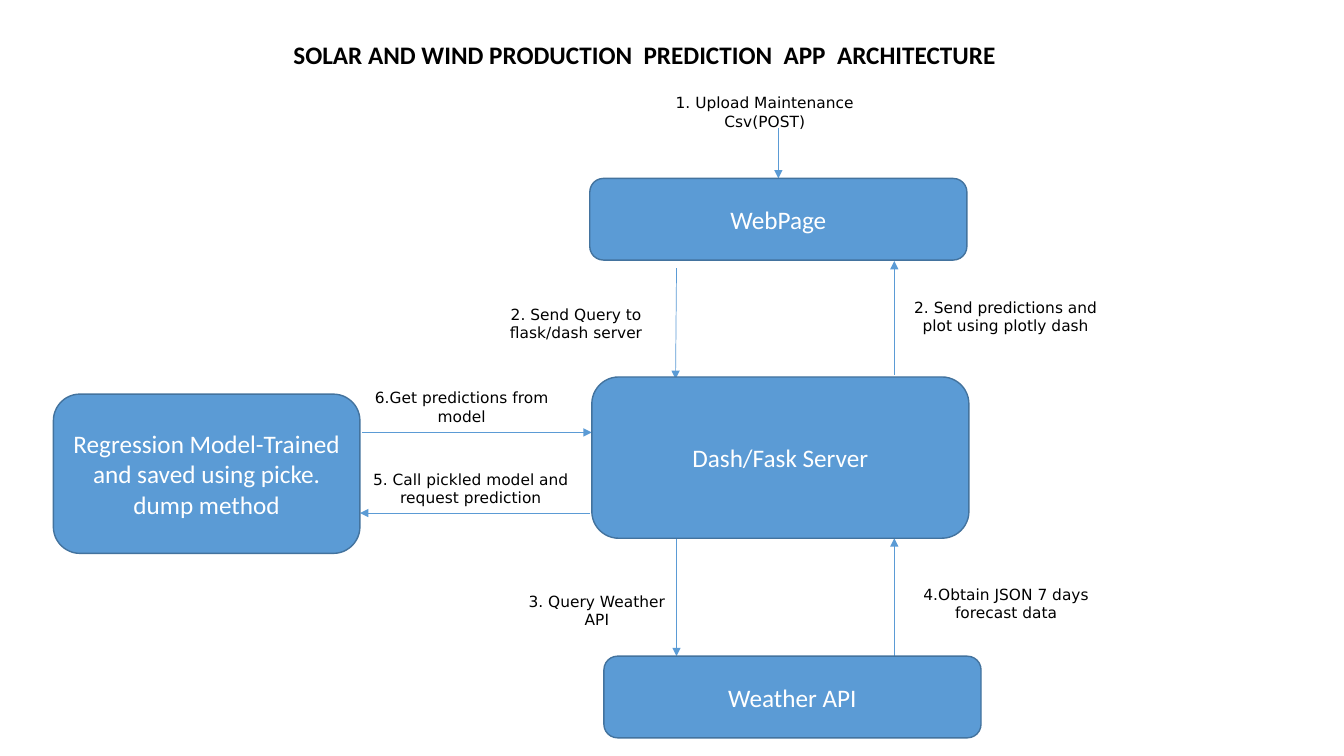
"""Draw the architecture of the solar and wind production prediction app."""
from dataclasses import dataclass
from typing import NamedTuple

from lxml import etree
from pptx import Presentation
from pptx import util as u
from pptx.dml.color import RGBColor
from pptx.enum import shapes, text
from pptx.oxml.ns import qn

WIDTH, HEIGHT = u.Inches(13.33), u.Inches(7.5)
COLUMNS, ROWS = 133.3, 75


@dataclass(frozen=True)
class Theme:
    """Colours, typefaces and sizes of the diagram."""
    fill: RGBColor = RGBColor(0x5B, 0x9B, 0xD5)
    border: RGBColor = RGBColor(0x43, 0x73, 0x9E)
    light: RGBColor = RGBColor(0xFF, 0xFF, 0xFF)
    dark: RGBColor = RGBColor(0, 0, 0)
    heading_font: str = "Calibri"
    label_font: str = "DejaVu Sans"
    heading_size: u.Pt = u.Pt(18)
    label_size: u.Pt = u.Pt(11)
    border_width: u.Pt = u.Pt(1)
    arrow_width: u.Pt = u.Pt(0.5)


class Area(NamedTuple):
    """A rectangle in grid columns and rows."""
    col: float
    row: float
    cols: float
    rows: float


class Caption(NamedTuple):
    """Wording and the area that holds it."""
    wording: str
    area: Area


class Flow(NamedTuple):
    """An arrow between two grid points."""
    from_col: float
    from_row: float
    to_col: float
    to_row: float


THEME = Theme()
QUERY_COL, RESULT_COL, UPLOAD_COL = 67.1, 88.7, 77.2
PREDICT_ROW, CALL_ROW = 42.9, 50.9

HEADLINE = Caption("SOLAR AND WIND PRODUCTION  PREDICTION  APP  ARCHITECTURE",
                   Area(28.1, 3.4, 92.4, 4))
COMPONENTS = [
    Caption("WebPage", Area(58.5, 17.7, 37.4, 8.1)),
    Caption("Weather API", Area(59.9, 65.1, 37.4, 8.1)),
    Caption("Regression Model-Trained and saved using picke. dump method",
            Area(5.3, 39.1, 30.4, 15.8)),
    Caption("Dash/Fask Server", Area(58.7, 37.4, 37.4, 16)),
]
FLOWS = [
    Flow(UPLOAD_COL, 12.7, UPLOAD_COL, 17.7),
    Flow(QUERY_COL, 26.6, 67, 37.6),
    Flow(RESULT_COL, 37.2, RESULT_COL, 25.9),
    Flow(QUERY_COL, 52.3, QUERY_COL, 65.1),
    Flow(RESULT_COL, 65.1, RESULT_COL, 53.4),
    Flow(35.9, PREDICT_ROW, 58.7, PREDICT_ROW),
    Flow(58.5, CALL_ROW, 35.7, CALL_ROW),
]
STEPS = [
    Caption("1. Upload Maintenance Csv(POST)", Area(62.9, 8.4, 25.9, 5.4)),
    Caption("2. Send Query to flask/dash server", Area(46, 28.3, 22.3, 7.6)),
    Caption("2. Send predictions and plot using plotly dash",
            Area(88.6, 27.6, 22.3, 7.6)),
    Caption("3. Query Weather API", Area(50.6, 56.7, 17.2, 7.7)),
    Caption("4.Obtain JSON 7 days forecast data", Area(87.6, 56, 24.4, 7.7)),
    Caption("5. Call pickled model and request prediction",
            Area(34.6, 44.6, 24.2, 7.7)),
    Caption("6.Get predictions from model", Area(35.8, 36.5, 20, 7.7)),
]


def x(cols: float) -> u.Emu:
    """Turn grid columns into a length."""
    return u.Emu(round(WIDTH * cols / COLUMNS))


def y(rows: float) -> u.Emu:
    """Turn grid rows into a length."""
    return u.Emu(round(HEIGHT * rows / ROWS))


def place(area: Area) -> tuple[u.Emu, u.Emu, u.Emu, u.Emu]:
    """Give left, top, width and height of an area."""
    return x(area.col), y(area.row), x(area.cols), y(area.rows)


def write(holder, wording: str, font: str, size: u.Pt, colour: RGBColor,
          bold: bool = False, align=text.PP_ALIGN.CENTER,
          anchor=text.MSO_ANCHOR.MIDDLE) -> None:
    """Put one formatted run into a shape."""
    frame = holder.text_frame
    frame.word_wrap = True
    frame.auto_size = text.MSO_AUTO_SIZE.NONE
    frame.vertical_anchor = anchor
    paragraph = frame.paragraphs[0]
    paragraph.alignment = align
    run = paragraph.add_run()
    run.text = wording
    run.font.name, run.font.size, run.font.bold = font, size, bold
    run.font.color.rgb = colour


def draw_headline(slide, caption: Caption) -> None:
    """Move and fill the title placeholder."""
    headline = slide.shapes.title
    headline.left, headline.top, headline.width, headline.height = place(caption.area)
    write(headline, caption.wording, THEME.heading_font, THEME.heading_size,
          THEME.dark, True, text.PP_ALIGN.LEFT, text.MSO_ANCHOR.TOP)


def draw_flow(slide, flow: Flow) -> None:
    """Draw an arrow with its head at the far end."""
    arrow = slide.shapes.add_connector(
        shapes.MSO_CONNECTOR.STRAIGHT, x(flow.from_col), y(flow.from_row),
        x(flow.to_col), y(flow.to_row))
    arrow.line.color.rgb = THEME.fill
    arrow.line.width = THEME.arrow_width
    etree.SubElement(arrow.line._get_or_add_ln(), qn("a:tailEnd"), type="triangle")
    etree.SubElement(arrow._element.spPr, qn("a:effectLst"))


def draw_component(slide, caption: Caption) -> None:
    """Draw a rounded box of the architecture."""
    component = slide.shapes.add_shape(
        shapes.MSO_SHAPE.ROUNDED_RECTANGLE, *place(caption.area))
    component.shadow.inherit = False
    component.fill.solid()
    component.fill.fore_color.rgb = THEME.fill
    component.line.color.rgb = THEME.border
    component.line.width = THEME.border_width
    write(component, caption.wording, THEME.heading_font, THEME.heading_size,
          THEME.light)


def draw_step(slide, caption: Caption) -> None:
    """Write the label of one step."""
    step = slide.shapes.add_textbox(*place(caption.area))
    write(step, caption.wording, THEME.label_font, THEME.label_size, THEME.dark)


def main() -> None:
    """Build and save the slide."""
    deck = Presentation()
    deck.slide_width, deck.slide_height = WIDTH, HEIGHT
    slide = deck.slides.add_slide(deck.slide_layouts.get_by_name("Title Only"))
    draw_headline(slide, HEADLINE)
    for flow in FLOWS:
        draw_flow(slide, flow)
    for component in COMPONENTS:
        draw_component(slide, component)
    for step in STEPS:
        draw_step(slide, step)
    deck.save("out.pptx")


main()
